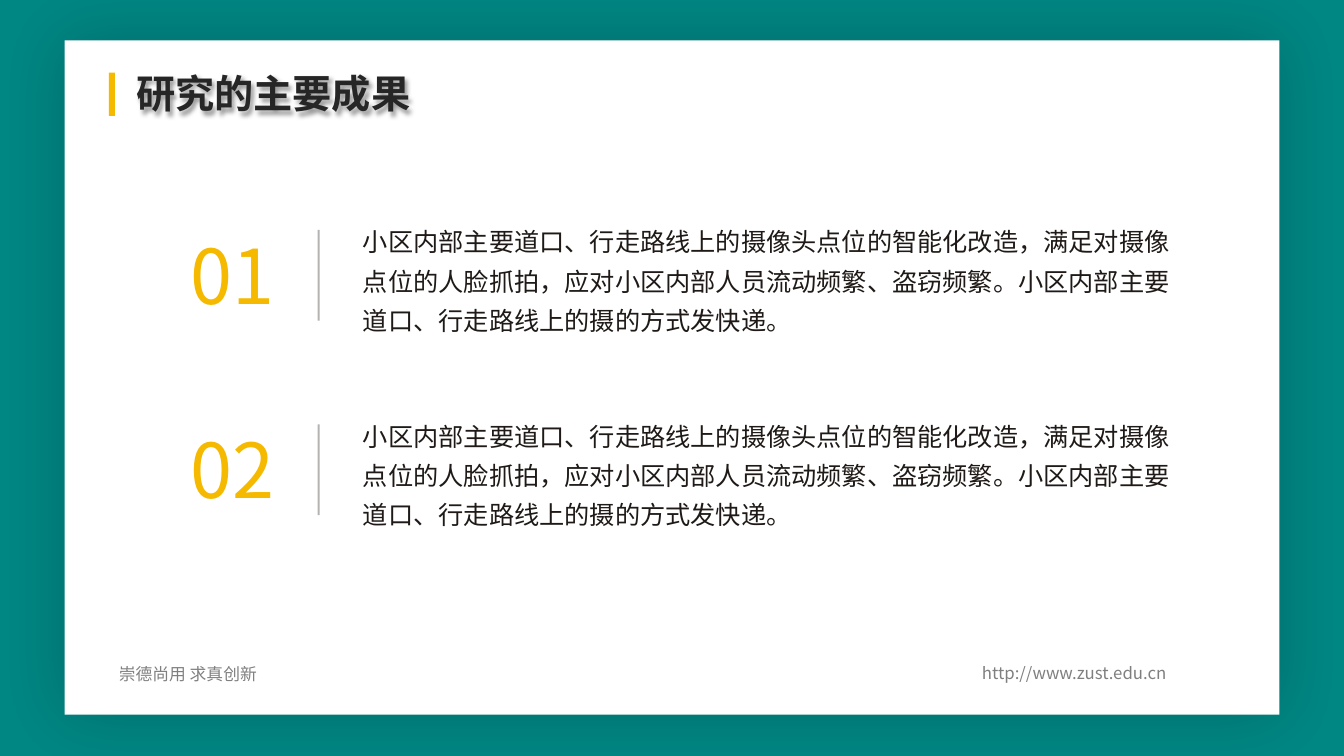
from lxml import etree
from pptx import Presentation
from pptx.dml.color import RGBColor
from pptx.enum import shapes, text
from pptx.oxml.ns import qn
from pptx.util import Inches, Pt

FONT = "Noto Sans CJK SC"
TEAL, GOLD, WHITE, BLACK, INK = "008784", "F5B900", "FFFFFF", "000000", "1F1A17"
FINDING = (
    "小区内部主要道口、行走路线上的摄像头点位的智能化改造，满足对摄像点位的人脸抓拍，"
    "应对小区内部人员流动频繁、盗窃频繁。小区内部主要道口、行走路线上的摄的方式发快递。"
)


def rgb(value):
    return RGBColor.from_string(value)


def set_alpha(parent, percent):
    """Give every RGB colour inside parent the stated opacity."""
    for color in parent.iter(qn("a:srgbClr")):
        etree.SubElement(color, qn("a:alpha"), val=str(percent * 1000))


def add_shadow(sp, alpha, blur, dist=0, angle=0):
    """Give a shape a black outer shadow; blur and dist are points."""
    effects = etree.SubElement(sp._element.spPr, qn("a:effectLst"))
    shadow = etree.SubElement(
        effects, qn("a:outerShdw"), blurRad=str(Pt(blur)), dist=str(Pt(dist)),
        dir=str(angle * 60000), algn="ctr", rotWithShape="0")
    etree.SubElement(shadow, qn("a:srgbClr"), val=BLACK)
    set_alpha(shadow, alpha)


def add_rect(s, x, y, w, h, color):
    sp = s.shapes.add_shape(shapes.MSO_SHAPE.RECTANGLE,
                            Inches(x), Inches(y), Inches(w), Inches(h))
    sp.fill.solid()
    sp.fill.fore_color.rgb = rgb(color)
    sp.line.fill.background()
    return sp


def add_text(s, x, y, w, h, content, size, color, bold=None, wrap=True,
             insets=(0.1, 0.1), spacing=None, align=None, alpha=None):
    """Add a one-run text box; insets are left and right."""
    sp = s.shapes.add_textbox(Inches(x), Inches(y), Inches(w), Inches(h))
    tf = sp.text_frame
    tf.word_wrap = wrap
    tf.margin_left, tf.margin_right = map(Inches, insets)
    p = tf.paragraphs[0]
    p.text = content
    p.line_spacing = spacing
    p.alignment = align
    r = p.runs[0]
    r.font.size = Pt(size)
    r.font.bold = bold
    r.font.color.rgb = rgb(color)
    props = r.font._element
    if alpha:
        set_alpha(props, alpha)
    r.font.name = FONT
    etree.SubElement(props, qn("a:ea"), typeface=FONT)
    return sp


def add_divider(s, x, y, length):
    line = s.shapes.add_connector(shapes.MSO_CONNECTOR.STRAIGHT,
                                  Inches(x), Inches(y), Inches(x), Inches(y + length))
    line.line.color.rgb = rgb(INK)
    line.line.width = Pt(1.5)
    props = line._element.spPr
    set_alpha(props, 32)
    etree.SubElement(props, qn("a:effectLst"))


def add_finding(s, y, number, content):
    add_text(s, 1.79, y + 0.11, 1.09, 1.01, number, 54, GOLD, wrap=False)
    add_divider(s, 3.16, y + 0.17, 0.9)
    add_text(s, 3.6, y, 8.29, 1.24, content, 18, INK, insets=(0, 0.1), spacing=1.3)


def add_footer(s, x, y, content):
    add_text(s, x, y, 2.48, 0.3, content, 12, BLACK,
             align=text.PP_ALIGN.JUSTIFY, alpha=50)


def main():
    prs = Presentation()
    prs.slide_width, prs.slide_height = Inches(13.33), Inches(7.5)
    s = prs.slides.add_slide(prs.slide_layouts[6])
    s.background.fill.solid()
    s.background.fill.fore_color.rgb = rgb(TEAL)

    panel = add_rect(s, 0.64, 0.4, 12.05, 6.69, WHITE)
    add_shadow(panel, 20, 50)
    add_rect(s, 1.08, 0.72, 0.06, 0.43, GOLD).shadow.inherit = False
    add_footer(s, 9.64, 6.53, "http://www.zust.edu.cn")
    add_footer(s, 1.08, 6.54, "崇德尚用 求真创新")
    title = add_text(s, 1.35, 0.69, 9.25, 0.53, "研究的主要成果", 28, "262626",
                     bold=True, insets=(0, 0), spacing=0.9)
    add_shadow(title, 40, 3, 3, 45)
    for i, content in enumerate([FINDING, FINDING]):
        add_finding(s, 2.11 + 1.93 * i, f"{i + 1:02}", content)
    prs.save("out.pptx")


if __name__ == "__main__":
    main()
